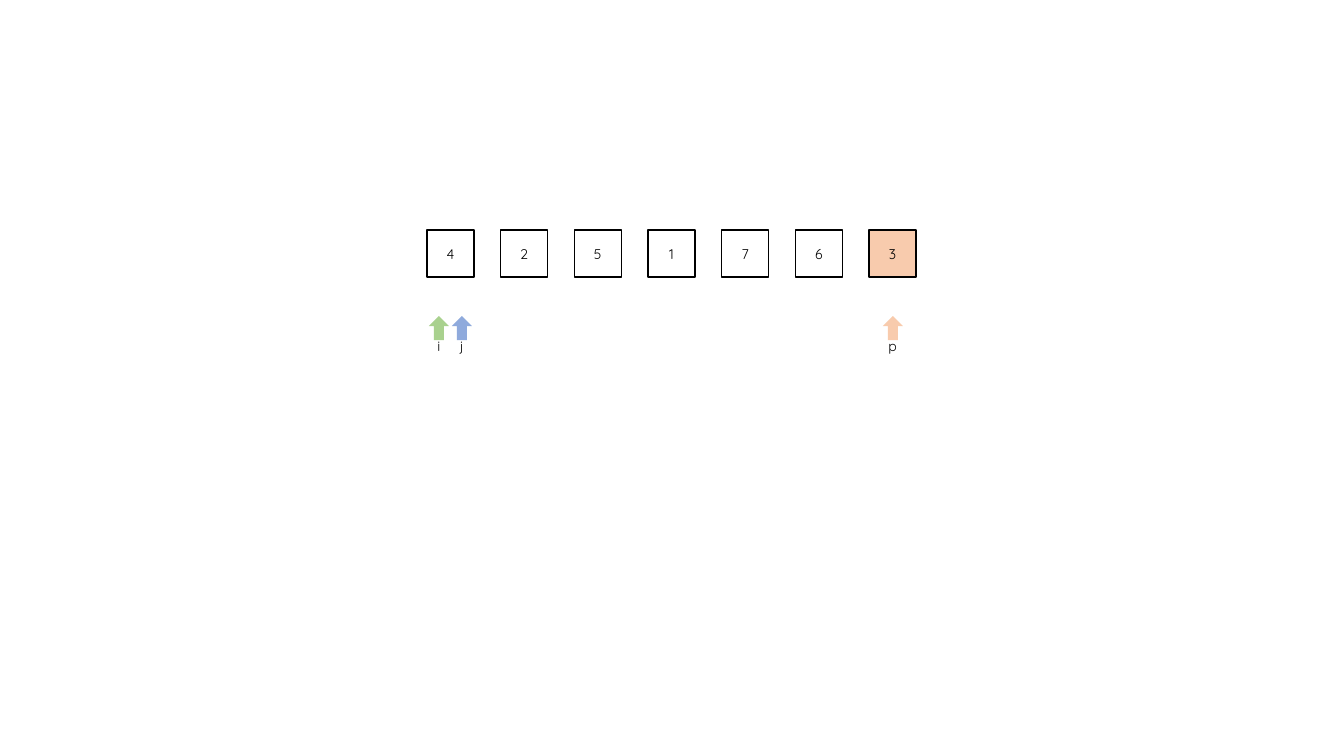
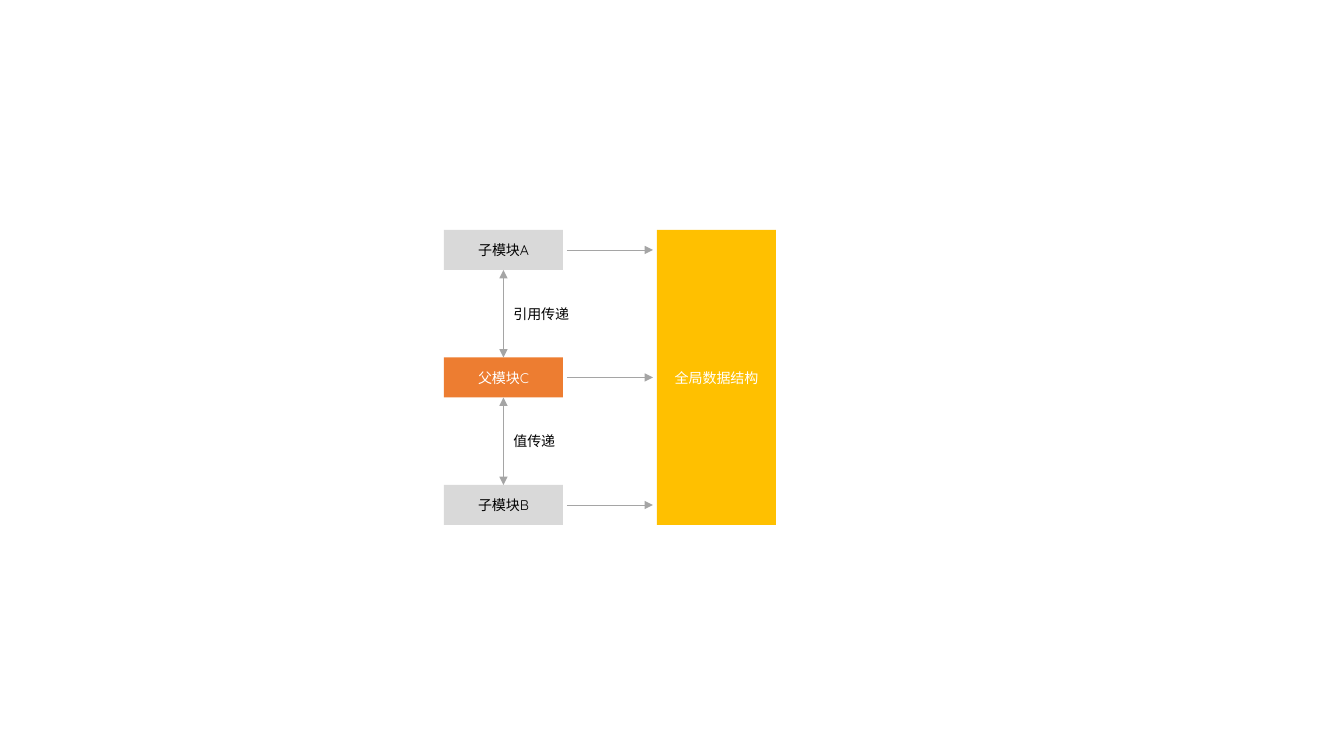
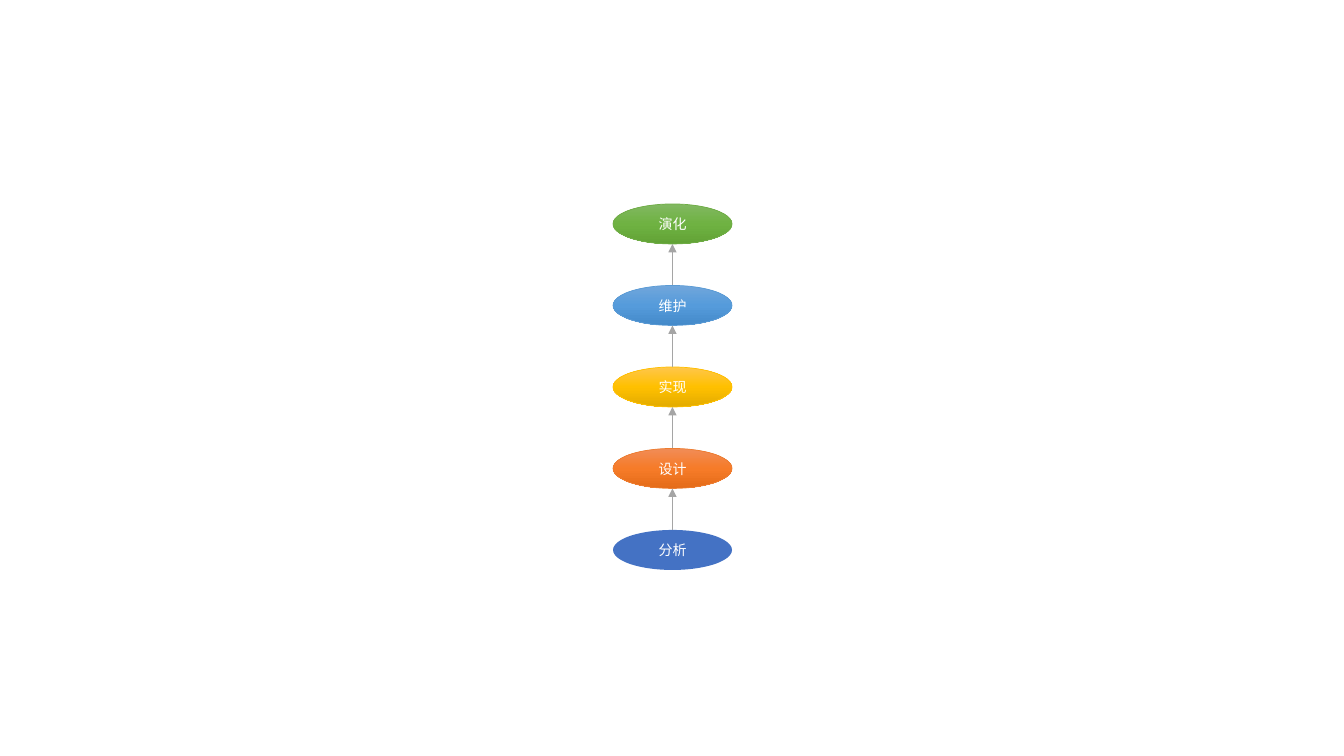
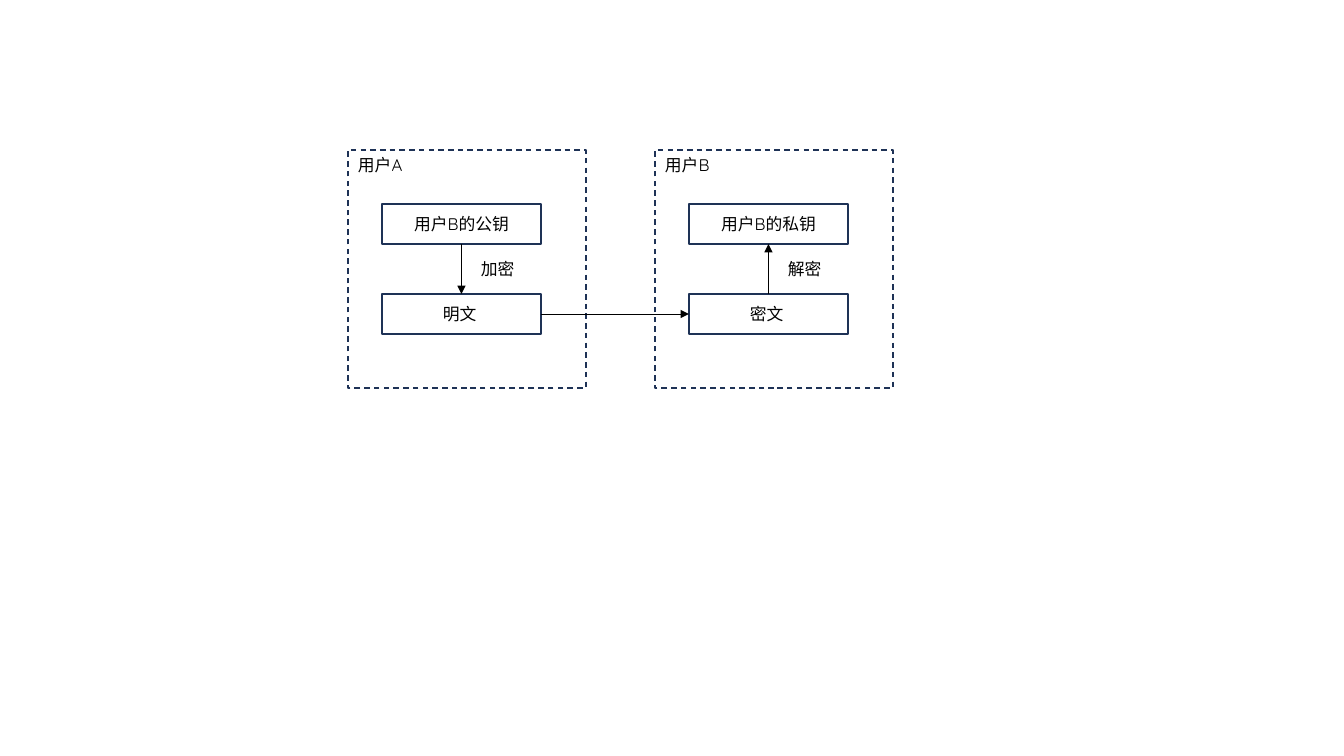
from copy import deepcopy

from lxml import etree
from pptx import Presentation
from pptx.dml.color import RGBColor
from pptx.enum.dml import MSO_LINE
from pptx.enum.shapes import MSO_CONNECTOR, MSO_SHAPE
from pptx.enum.text import MSO_ANCHOR, MSO_AUTO_SIZE, PP_ALIGN
from pptx.oxml.ns import qn
from pptx.util import Pt

WIDE, HIGH = 1344, 756
SCALE = 12192000 / WIDE
FONT = "Quicksand"
BLACK, WHITE, GRAY, SILVER, NAVY = "000000", "FFFFFF", "A5A5A5", "D9D9D9", "1E3256"
ORANGE, GOLD, BLUE = "ED7D31", "FFC000", "4472C4"
PEACH, LIME, SKY = "F8CBAD", "A9D18E", "8FAADC"
RECT, OVAL, ARROW = MSO_SHAPE.RECTANGLE, MSO_SHAPE.OVAL, MSO_SHAPE.UP_ARROW
STRAIGHT, DASH = MSO_CONNECTOR.STRAIGHT, MSO_LINE.DASH
LEFT, CENTER = PP_ALIGN.LEFT, PP_ALIGN.CENTER
TOP, MIDDLE = MSO_ANCHOR.TOP, MSO_ANCHOR.MIDDLE
GROW = MSO_AUTO_SIZE.SHAPE_TO_FIT_TEXT
UP, LEAD, DOWN, TRAIL = 0, 1, 2, 3


def px(*sizes):
    """Turn px lengths into EMU."""
    return [round(size * SCALE) for size in sizes]


def hue(code):
    """Turn a hex string into a colour."""
    return RGBColor.from_string(code)


def apply(target, values):
    """Set every value of a dict on the target."""
    for name, value in values.items():
        setattr(target, name, value)


def paint(fill, code):
    """Fill with a colour, or with nothing."""
    if code:
        fill.solid()
        fill.fore_color.rgb = hue(code)
    else:
        fill.background()


def shade(shape, codes):
    """Fill from top to bottom with three colours."""
    shape.fill.gradient()
    shape.fill.gradient_angle = 270
    stops = shape._element.spPr.find(qn("a:gradFill")).find(qn("a:gsLst"))
    stops.insert(1, deepcopy(stops[0]))
    for stop, spot, code in zip(shape.fill.gradient_stops, (0, 0.5, 1), codes):
        stop.position = spot
        stop.color.rgb = hue(code)


def write(shape, text, size=10, color=BLACK, align=CENTER, anchor=MIDDLE, **extra):
    """Put one line of styled text in a shape."""
    apply(shape.text_frame, {"text": text, "vertical_anchor": anchor, "word_wrap": True, **extra})
    para = shape.text_frame.paragraphs[0]
    para.alignment = align
    apply(para.runs[0].font, {"name": FONT, "size": Pt(size)})
    para.runs[0].font.color.rgb = hue(color)


def block(slide, box, kind=RECT, fill=None, edge=None, weight=1):
    """Add a preset shape with a plain fill and edge."""
    shape = slide.shapes.add_shape(kind, *px(*box))
    shape.shadow.inherit = False
    paint(shape.fill, fill)
    paint(shape.line.fill, edge)
    if edge:
        shape.line.width = Pt(weight)
    return shape


def label(slide, box, text, **style):
    """Add a text box."""
    write(slide.shapes.add_textbox(*px(*box)), text, **style)


def link(slide, start, end, color=GRAY, ends=("tailEnd",)):
    """Draw an arrow between two points or two (shape, side) pairs."""
    joined = not isinstance(start[0], (int, float))
    spots = (0, 0, 0, 0) if joined else px(*start, *end)
    line = slide.shapes.add_connector(STRAIGHT, *spots)
    if joined:
        line.begin_connect(*start)
        line.end_connect(*end)
    line.line.width = Pt(0.5)
    line.line.color.rgb = hue(color)
    props = line._element.spPr
    for end_tag in ends:
        etree.SubElement(props.find(qn("a:ln")), qn(f"a:{end_tag}"), type="triangle")
    etree.SubElement(props, qn("a:effectLst"))


def array(slide, box, digits):
    """Draw a row of square cells, the last one being the pivot."""
    left, top, width, side = box
    step = (width - side) / (len(digits) - 1)
    for place, digit in enumerate(digits):
        fill = PEACH if place == len(digits) - 1 else None
        cell = block(slide, (left + place * step, top, side, side), fill=fill, edge=BLACK)
        write(cell, digit)


def pointer(slide, box, text, fill, room):
    """Draw an up arrow with its name centred below."""
    left, top, width, height = box
    block(slide, box, ARROW, fill)
    spot = (left + (width - room) / 2, top + 17, room, 27)
    label(slide, spot, text, align=LEFT, anchor=TOP, word_wrap=False, auto_size=GROW)


def modules(slide, box):
    """Draw three linked modules beside the shared data."""
    left, top, width, height = box
    wide, high, gap = 119, 40, 4
    step = (height - high) / 2
    data_x = left + width - wide
    rows = (("子模块A", SILVER, BLACK), ("父模块C", ORANGE, WHITE), ("子模块B", SILVER, BLACK))
    parts = []
    for place, (text, fill, color) in enumerate(rows):
        y = top + place * step
        part = block(slide, (left, y, wide, high), fill=fill)
        write(part, text, color=color)
        parts.append(part)
        mid = y + high / 2
        link(slide, (left + wide + gap, mid), (data_x - gap, mid))
    data = block(slide, (data_x, top, wide, height), fill=GOLD)
    write(data, "全局数据结构", color=WHITE)
    for place, text in enumerate(("引用传递", "值传递")):
        link(slide, (parts[place], DOWN), (parts[place + 1], UP), ends=("headEnd", "tailEnd"))
        spot = (left + wide / 2, top + (place + 0.5) * step, 97, high)
        label(slide, spot, text, align=LEFT)


def phases(slide, box, items):
    """Stack ovals with arrows that climb from each to the next."""
    left, top, width, height = box
    high = 40
    step = (height - high) / (len(items) - 1)
    mid = left + width / 2
    for place, (text, edge, codes) in enumerate(items):
        y = top + place * step
        oval = block(slide, (left, y, width, high), OVAL, BLUE, edge, 0.5)
        if codes:
            shade(oval, codes)
        write(oval, text, color=WHITE)
        if place:
            link(slide, (mid, y), (mid, y - step + high))


def user(slide, box, name, key, action, body, rising):
    """Draw a user's frame with a key, a text and an arrow; return the text."""
    left, top = box[:2]
    frame = block(slide, box, edge=NAVY)
    frame.line.dash_style = DASH
    write(frame, name, size=12, align=LEFT, anchor=TOP)
    parts = []
    for drop, text in ((54, key), (144, body)):
        part = block(slide, (left + 34, top + drop, 159, 40), edge=NAVY)
        write(part, text, size=12)
        parts.append(part)
    label(slide, (left + 123, top + 99, 80, 40), action, size=12, align=LEFT)
    ends = [(parts[0], DOWN), (parts[1], UP)]
    link(slide, *(reversed(ends) if rising else ends), color=BLACK)
    return parts[1]


def main():
    """Build and save the four slides."""
    deck = Presentation()
    deck.slide_width, deck.slide_height = px(WIDE, HIGH)
    sort, design, cycle, cipher = [deck.slides.add_slide(deck.slide_layouts[6]) for _ in range(4)]

    array(sort, (427, 230, 489, 47), "4251763")
    for x, text, fill, room in ((429, "i", LIME, 23), (452, "j", SKY, 24), (883, "p", PEACH, 29)):
        pointer(sort, (x, 316, 20, 24), text, fill, room)

    modules(design, (444, 230, 332, 295))

    phases(cycle, (613, 204, 119, 366), (
        ("演化", "70AD47", ("81B861", "6FB242", "62A336")),
        ("维护", "5B9BD5", ("71A6DB", "559BDB", "448ACA")),
        ("实现", GOLD, ("FFC64B", GOLD, "E3AB00")),
        ("设计", ORANGE, ("F18C57", "F67B28", "E56C19")),
        ("分析", None, None),
    ))

    plain = user(cipher, (348, 150, 238, 238), "用户A", "用户B的公钥", "加密", "明文 ", False)
    coded = user(cipher, (655, 150, 238, 238), "用户B", "用户B的私钥", "解密", "密文 ", True)
    link(cipher, (plain, TRAIL), (coded, LEAD), color=BLACK)
    deck.save("out.pptx")


if __name__ == "__main__":
    main()
